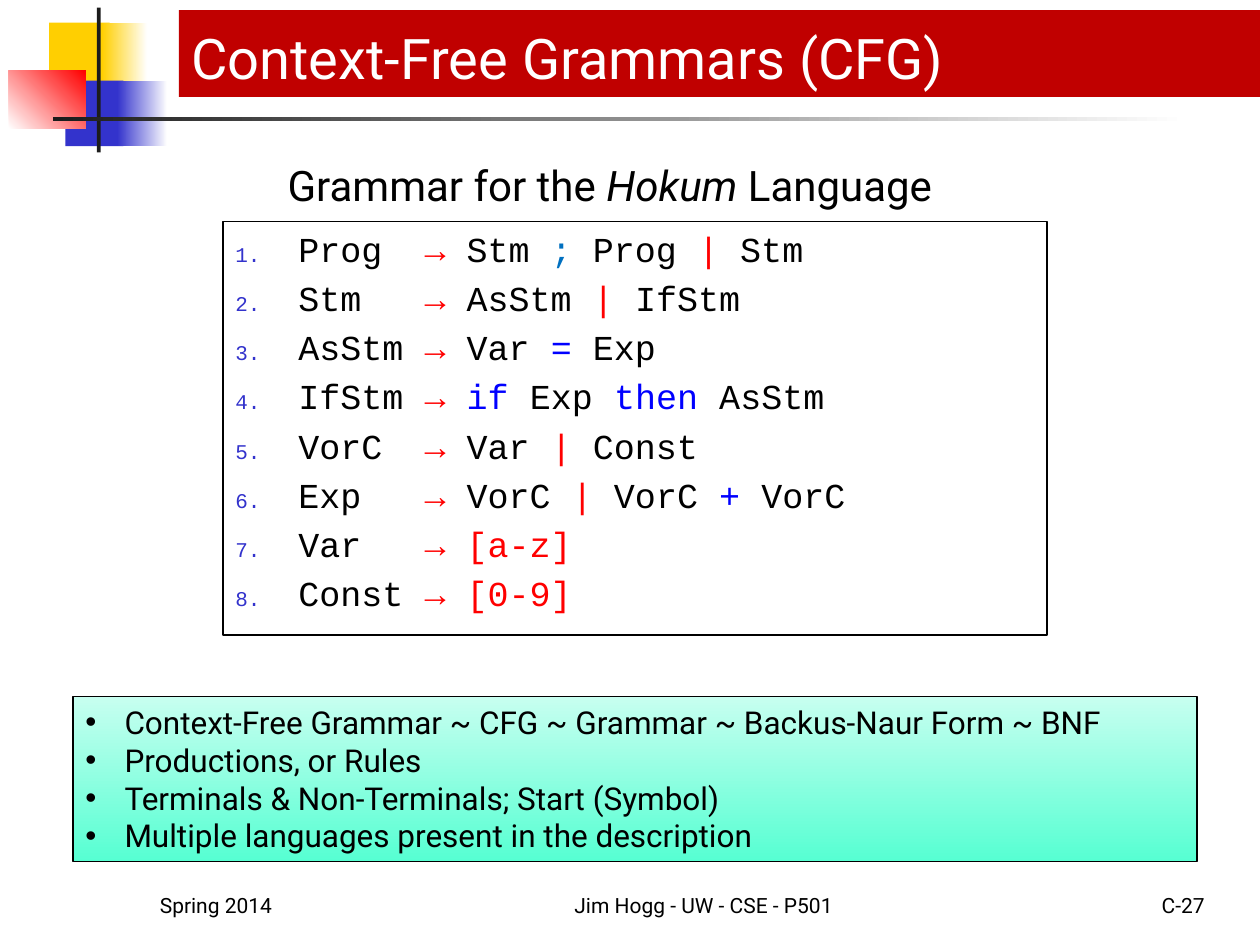
from lxml import etree
from pptx import Presentation
from pptx.dml.color import RGBColor
from pptx.enum import shapes, text
from pptx.oxml.ns import qn
from pptx.util import Inches, Pt

BLACK = RGBColor(0x00, 0x00, 0x00)
WHITE = RGBColor(0xFF, 0xFF, 0xFF)
INK = RGBColor(0x1C, 0x1C, 0x1C)
GOLD = RGBColor(0xFF, 0xCF, 0x01)
INDIGO = RGBColor(0x33, 0x33, 0xCC)
RED = RGBColor(0xFF, 0x00, 0x00)
BLUE = RGBColor(0x00, 0x00, 0xFF)
SEPARATOR = RGBColor(0x00, 0x70, 0xC0)
BANNER = RGBColor(0xC0, 0x00, 0x00)
MINT = RGBColor(0xC7, 0xFF, 0xF0)
AQUA = RGBColor(0x56, 0xFF, 0xD2)

BODY_FONT = "Roboto"
CODE_FONT = "Courier New"
LEFT, CENTER, RIGHT = text.PP_ALIGN.LEFT, text.PP_ALIGN.CENTER, text.PP_ALIGN.RIGHT
TOP, BOTTOM = text.MSO_ANCHOR.TOP, text.MSO_ANCHOR.BOTTOM

DECORATIONS = [
    ((0.39, 0.18, 0.48, 0.52), [GOLD], 0),
    ((0.81, 0.18, 0.36, 0.52), [GOLD, WHITE], 0),
    ((0.52, 0.64, 0.46, 0.52), [INDIGO], 0),
    ((0.93, 0.64, 0.4, 0.52), [INDIGO, WHITE], 0),
    ((0.07, 0.56, 0.61, 0.46), [WHITE, RED], 45),
    ((0.77, 0.06, 0.03, 1.15), [INK], 0),
    ((0.42, 0.93, 9, 0.03), [INK, WHITE], 0),
]
PRODUCTIONS = [
    ("Prog", "Stm ; Prog | Stm"),
    ("Stm", "AsStm | IfStm"),
    ("AsStm", "Var = Exp"),
    ("IfStm", "if Exp then AsStm"),
    ("VorC", "Var | Const"),
    ("Exp", "VorC | VorC + VorC"),
    ("Var", "[a-z]"),
    ("Const", "[0-9]"),
]
TOKEN_COLORS = {
    ";": SEPARATOR, "|": RED, "[a-z]": RED, "[0-9]": RED,
    "=": BLUE, "+": BLUE, "if": BLUE, "then": BLUE,
}
REMARKS = [
    "Context-Free Grammar ~ CFG ~ Grammar ~ Backus-Naur Form ~ BNF",
    "Productions, or Rules",
    "Terminals & Non-Terminals; Start (Symbol)",
    "Multiple languages present in the description",
]
FOOTERS = [
    ("Spring 2014", 1.17, 2.08, LEFT),
    ("Jim Hogg - UW - CSE - P501", 4, 3.17, CENTER),
    ("C-27", 7.58, 2.08, RIGHT),
]


def add_box(slide, place, colors=(), angle=0, outlined=False):
    box = slide.shapes.add_shape(shapes.MSO_SHAPE.RECTANGLE, *map(Inches, place))
    box.shadow.inherit = False
    if len(colors) == 2:
        box.fill.gradient()
        box.fill.gradient_angle = angle
        for stop, color in zip(box.fill.gradient_stops, colors):
            stop.color.rgb = color
    elif colors:
        box.fill.solid()
        box.fill.fore_color.rgb = colors[0]
    else:
        box.fill.background()
    if outlined:
        box.line.color.rgb = BLACK
        box.line.width = Pt(0.75)
    else:
        box.line.fill.background()
    return box


def prepare_frame(shape, anchor):
    frame = shape.text_frame
    frame.word_wrap = True
    frame.vertical_anchor = anchor
    return frame


def add_run(paragraph, words, size, color=BLACK, font=BODY_FONT, italic=None):
    run = paragraph.add_run()
    run.text = words
    run.font.size = Pt(size)
    run.font.name = font
    run.font.color.rgb = color
    run.font.italic = italic


def add_item(frame, index, indent, marks):
    paragraph = frame.add_paragraph() if index else frame.paragraphs[0]
    paragraph.alignment = LEFT
    properties = paragraph._p.get_or_add_pPr()
    properties.set("marL", str(Inches(indent)))
    properties.set("indent", str(-Inches(indent)))
    for tag, attributes in marks:
        etree.SubElement(properties, qn(tag), attributes)
    return paragraph


def add_heading(slide):
    heading = slide.shapes.title
    heading.left, heading.top, heading.width, heading.height = map(
        Inches, (0.58, 1.12, 8.52, 0.6))
    paragraph = prepare_frame(heading, BOTTOM).paragraphs[0]
    paragraph.alignment = CENTER
    add_run(paragraph, "Grammar for the ", 24)
    add_run(paragraph, "Hokum", 24, italic=True)
    add_run(paragraph, " Language", 24)


def add_grammar(slide):
    frame = prepare_frame(add_box(slide, (1.77, 1.76, 6.54, 3.28), outlined=True), TOP)
    marks = [("a:buSzPct", {"val": "60000"}), ("a:buFont", {"typeface": CODE_FONT}),
             ("a:buAutoNum", {"type": "arabicPeriod"})]
    for index, (head, body) in enumerate(PRODUCTIONS):
        paragraph = add_item(frame, index, 0.5, [("a:buClr", {})] + marks)
        bullet_color = paragraph._p.pPr.find(qn("a:buClr"))
        etree.SubElement(bullet_color, qn("a:srgbClr"), {"val": str(INDIGO)})
        if index:
            paragraph.space_before = Pt(4)
        add_run(paragraph, head.ljust(6), 20, font=CODE_FONT)
        add_run(paragraph, "→ ", 20, RED, CODE_FONT)
        tokens = body.split()
        for position, token in enumerate(tokens, 1):
            gap = " " if position < len(tokens) else ""
            add_run(paragraph, token + gap, 20, TOKEN_COLORS.get(token, BLACK), CODE_FONT)


def add_remarks(slide):
    box = add_box(slide, (0.58, 5.53, 8.92, 1.31), [MINT, AQUA], 270, outlined=True)
    frame = prepare_frame(box, TOP)
    marks = [("a:buFont", {"typeface": "Arial"}), ("a:buChar", {"char": "•"})]
    for index, remark in enumerate(REMARKS):
        add_run(add_item(frame, index, 0.31, marks), remark, 18)


def add_footer(slide, words, left, width, alignment):
    footer = slide.shapes.add_textbox(
        Inches(left), Inches(6.83), Inches(width), Inches(0.5))
    paragraph = prepare_frame(footer, BOTTOM).paragraphs[0]
    paragraph.alignment = alignment
    add_run(paragraph, words, 12)


def add_banner(slide):
    banner = add_box(slide, (1.42, 0.08, 8.58, 0.69), [BANNER])
    paragraph = prepare_frame(banner, BOTTOM).paragraphs[0]
    paragraph.alignment = LEFT
    add_run(paragraph, "Context-Free Grammars (CFG)", 32, WHITE)


def main():
    deck = Presentation()
    deck.slide_width, deck.slide_height = Inches(10), Inches(7.5)
    slide = deck.slides.add_slide(deck.slide_layouts[5])
    for place, colors, angle in DECORATIONS:
        add_box(slide, place, colors, angle)
    add_heading(slide)
    add_grammar(slide)
    for footer in FOOTERS:
        add_footer(slide, *footer)
    add_remarks(slide)
    add_banner(slide)
    deck.save("out.pptx")


if __name__ == "__main__":
    main()
